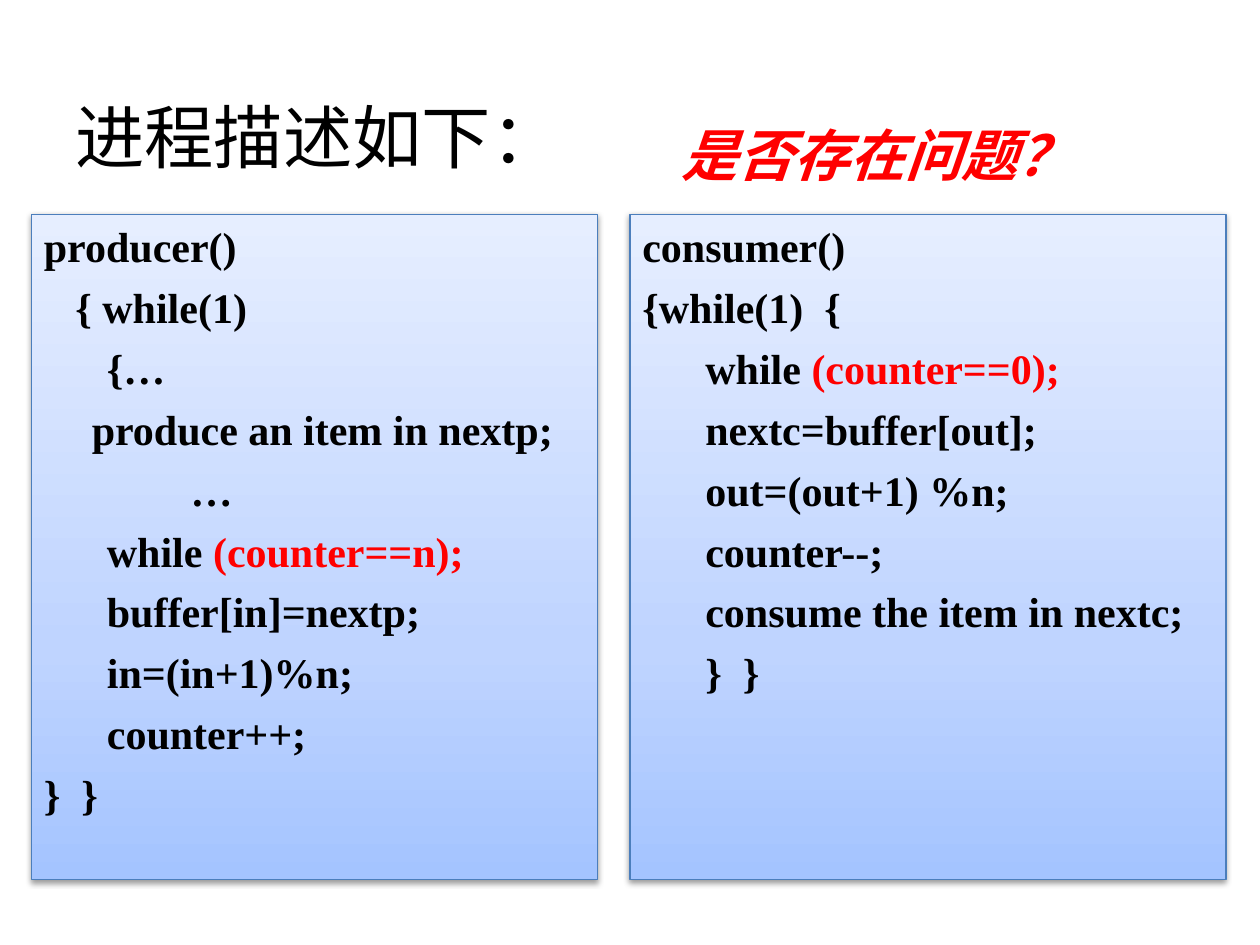
from copy import deepcopy
from dataclasses import dataclass

from lxml import etree
from pptx import Presentation
from pptx.dml.color import RGBColor
from pptx.enum.shapes import MSO_SHAPE
from pptx.enum.text import MSO_ANCHOR, PP_ALIGN
from pptx.oxml.ns import qn
from pptx.util import Inches, Pt

RECTANGLE = MSO_SHAPE.RECTANGLE
TOP = MSO_ANCHOR.TOP
LEFT = PP_ALIGN.LEFT


@dataclass(frozen=True)
class Theme:
    text: RGBColor = RGBColor(0x00, 0x00, 0x00)
    accent: RGBColor = RGBColor(0xFF, 0x00, 0x00)
    border: RGBColor = RGBColor(0x4B, 0x7E, 0xBC)
    gradient: tuple = ((0, "A4C4FF"), (0.35, "BFD4FF"), (1, "E6EEFF"))
    heading_font: str = "Noto Sans CJK SC"
    code_font: str = "Times New Roman"
    title_size: float = 39.6
    question_size: float = 32
    code_size: float = 24
    code_gap: float = 6


@dataclass(frozen=True)
class CodeLine:
    text: str
    accent: str = ""
    level: int = 0


@dataclass(frozen=True)
class Panel:
    left: float
    width: float
    lines: tuple


@dataclass(frozen=True)
class Heading:
    text: str
    box: tuple
    margin_top: float
    format: dict


THEME = Theme()
PANEL_TOP, PANEL_HEIGHT = 1.7, 5.28
INDENTS = ((0.38, -0.38), (0.81, -0.31))  # left margin and first line, by level

HEADINGS = (
    Heading("进程描述如下：", (0.5, 0.75, 3.63, 0.6), 0,
            {"size": Pt(THEME.title_size), "bold": False, "italic": False}),
    Heading("是否存在问题？", (5.31, 0.91, 3.75, 0.63), 0.05,
            {"size": Pt(THEME.question_size), "bold": True, "italic": True}),
)
HEADING_COLORS = (THEME.text, THEME.accent)

PANELS = (
    Panel(0.25, 4.49, (
        CodeLine("producer()"),
        CodeLine("   { while(1)"),
        CodeLine("      {…"),
        CodeLine("\tproduce an item in nextp;"),
        CodeLine("              …"),
        CodeLine("while ", "(counter==n);", 1),
        CodeLine("buffer[in]=nextp;", level=1),
        CodeLine("in=(in+1)%n;", level=1),
        CodeLine("counter++;", level=1),
        CodeLine("}  }"),
    )),
    Panel(5, 4.73, (
        CodeLine("consumer()"),
        CodeLine("{while(1)  {"),
        CodeLine("while ", "(counter==0);", 1),
        CodeLine("nextc=buffer[out];", level=1),
        CodeLine("out=(out+1) %n;", level=1),
        CodeLine("counter--;", level=1),
        CodeLine("consume the item in nextc;", level=1),
        CodeLine("      }  }"),
    )),
)


def add_run(paragraph, text: str, font_name: str, color: RGBColor, formats: dict) -> None:
    run = paragraph.add_run()
    run.text = text
    for name, value in {"name": font_name, **formats}.items():
        setattr(run.font, name, value)
    run.font.color.rgb = color
    east_asian = etree.SubElement(run.font._element, qn("a:ea"))
    east_asian.set("typeface", font_name)


def add_heading(slide, heading: Heading, color: RGBColor) -> None:
    text_frame = slide.shapes.add_textbox(*map(Inches, heading.box)).text_frame
    text_frame.word_wrap = True
    text_frame.vertical_anchor = TOP
    text_frame.margin_top = Inches(heading.margin_top)
    add_run(text_frame.paragraphs[0], heading.text, THEME.heading_font, color, heading.format)


def fill_gradient(shape) -> None:
    shape.fill.gradient()
    shape.fill.gradient_angle = 90
    stop_list = shape.fill._xPr.find(qn("a:gradFill")).find(qn("a:gsLst"))
    stop_list.append(deepcopy(stop_list[0]))
    for stop, (position, color) in zip(shape.fill.gradient_stops, THEME.gradient):
        stop.position = position
        stop.color.rgb = RGBColor.from_string(color)


def add_shadow(shape) -> None:
    shape.shadow.inherit = False
    effects = shape._element.spPr.find(qn("a:effectLst"))
    shadow = etree.SubElement(effects, qn("a:outerShdw"), blurRad=str(Pt(3.1)),
                              dist=str(Pt(1.6)), dir="5400000", rotWithShape="0")
    color = etree.SubElement(shadow, qn("a:srgbClr"), val="000000")
    etree.SubElement(color, qn("a:alpha"), val="38000")


def add_code_line(paragraph, line: CodeLine, is_first: bool) -> None:
    margin, first_line = INDENTS[line.level]
    properties = paragraph._p.get_or_add_pPr()
    properties.set("marL", str(Inches(margin)))
    properties.set("indent", str(Inches(first_line)))
    paragraph.level = line.level
    paragraph.alignment = LEFT
    paragraph.space_before = Pt(0 if is_first else THEME.code_gap)
    formats = {"size": Pt(THEME.code_size), "bold": True}
    add_run(paragraph, line.text, THEME.code_font, THEME.text, formats)
    if line.accent:
        add_run(paragraph, line.accent, THEME.code_font, THEME.accent, formats)


def add_panel(slide, panel: Panel) -> None:
    shape = slide.shapes.add_shape(RECTANGLE, Inches(panel.left), Inches(PANEL_TOP),
                                   Inches(panel.width), Inches(PANEL_HEIGHT))
    fill_gradient(shape)
    shape.line.color.rgb = THEME.border
    shape.line.width = Pt(0.75)
    add_shadow(shape)
    text_frame = shape.text_frame
    text_frame.word_wrap = True
    text_frame.vertical_anchor = TOP
    for index, line in enumerate(panel.lines):
        paragraph = text_frame.add_paragraph() if index else text_frame.paragraphs[0]
        add_code_line(paragraph, line, index == 0)


def main() -> None:
    presentation = Presentation()
    presentation.slide_width, presentation.slide_height = Inches(10), Inches(7.5)
    slide = presentation.slides.add_slide(presentation.slide_layouts[6])

    # Code panels
    for panel in PANELS:
        add_panel(slide, panel)

    # Title and question
    for heading, color in zip(HEADINGS, HEADING_COLORS):
        add_heading(slide, heading, color)

    presentation.save("out.pptx")


if __name__ == "__main__":
    main()
